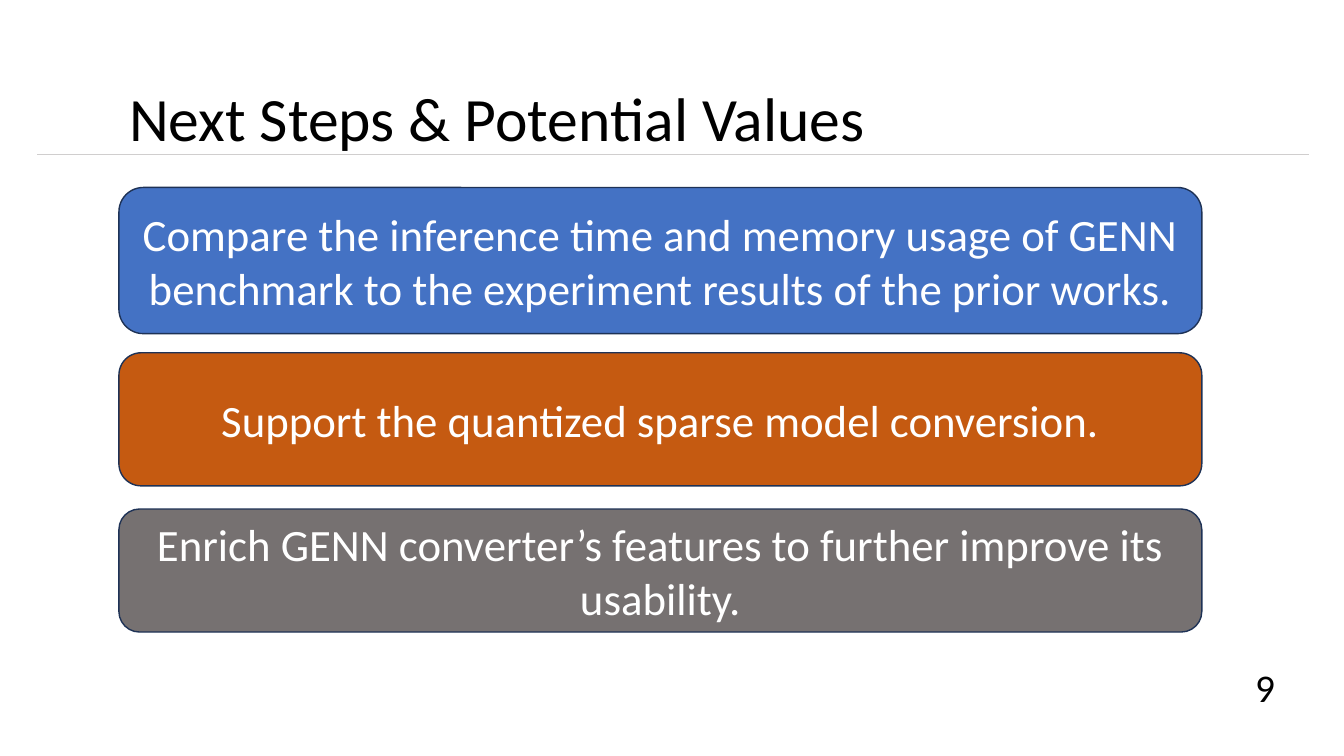
from pptx import Presentation
from pptx import util as u
from pptx.dml.color import RGBColor
from pptx.enum import shapes, text
from pptx.oxml.ns import qn
from lxml import etree

PX = 9144  # EMU in one px, 100 px to the inch

BLACK = RGBColor(0x00, 0x00, 0x00)
WHITE = RGBColor(0xFF, 0xFF, 0xFF)
RULE_GREY = RGBColor(0xD0, 0xCE, 0xCE)
NAVY = RGBColor(0x1E, 0x32, 0x56)
BLUE = RGBColor(0x44, 0x72, 0xC4)
ORANGE = RGBColor(0xC5, 0x5A, 0x11)
GREY = RGBColor(0x76, 0x71, 0x71)

LEFT = 118


class SlideBuilder:
    """Holds the text style and the current slide."""

    font_name = "Calibri"

    def __init__(self, slide):
        self.slide = slide

    def set_text(self, shape, content, size, color, align, anchor):
        frame = shape.text_frame
        frame.text = content
        frame.word_wrap = True
        frame.auto_size = text.MSO_AUTO_SIZE.NONE
        frame.vertical_anchor = anchor
        paragraph = frame.paragraphs[0]
        paragraph.alignment = align
        font = paragraph.runs[0].font
        font.name = self.font_name
        font.size = u.Pt(size)
        font.color.rgb = color
        return paragraph

    def title(self, content, *box):
        shape = self.slide.shapes.title
        shape.left, shape.top, shape.width, shape.height = [n * PX for n in box]
        paragraph = self.set_text(shape, content, 44, BLACK,
                                  text.PP_ALIGN.LEFT, text.MSO_ANCHOR.MIDDLE)
        paragraph.line_spacing = 1.1

    def rule(self, left, right, y):
        line = self.slide.shapes.add_connector(
            shapes.MSO_CONNECTOR.STRAIGHT, left * PX, y * PX, right * PX, y * PX)
        line.line.color.rgb = RULE_GREY
        line.line.width = u.Pt(0.5)
        etree.SubElement(line._element.spPr, qn("a:effectLst"))

    def card(self, content, fill, *box):
        shape = self.slide.shapes.add_shape(
            shapes.MSO_SHAPE.ROUNDED_RECTANGLE, *[n * PX for n in box])
        shape.shadow.inherit = False
        shape.fill.solid()
        shape.fill.fore_color.rgb = fill
        shape.line.color.rgb = NAVY
        shape.line.width = u.Pt(1)
        self.set_text(shape, content, 32, WHITE,
                      text.PP_ALIGN.CENTER, text.MSO_ANCHOR.MIDDLE)

    def page_number(self, content, *box):
        shape = self.slide.shapes.add_textbox(*[n * PX for n in box])
        self.set_text(shape, content, 28, BLACK,
                      text.PP_ALIGN.LEFT, text.MSO_ANCHOR.TOP)


def main():
    presentation = Presentation()
    presentation.slide_width = 1333 * PX
    presentation.slide_height = 750 * PX
    title_only = presentation.slide_layouts[5]
    builder = SlideBuilder(presentation.slides.add_slide(title_only))

    # Heading with the rule below it
    builder.rule(37, 1298, 153)
    builder.title("Next Steps & Potential Values", LEFT, 40, 1124, 145)

    # Next steps, one card each
    cards = [
        ("Compare the inference time and memory usage of GENN benchmark "
         "to the experiment results of the prior works.", BLUE, 186, 145),
        ("Support the quantized sparse model conversion.", ORANGE, 350, 132),
        ("Enrich GENN converter’s features to further improve its usability.",
         GREY, 505, 122),
    ]
    for content, fill, top, height in cards:
        builder.card(content, fill, LEFT, top, 1074, height)

    # Page number
    builder.page_number("9", 1235, 653, 78, 57)

    presentation.save("out.pptx")


if __name__ == "__main__":
    main()
